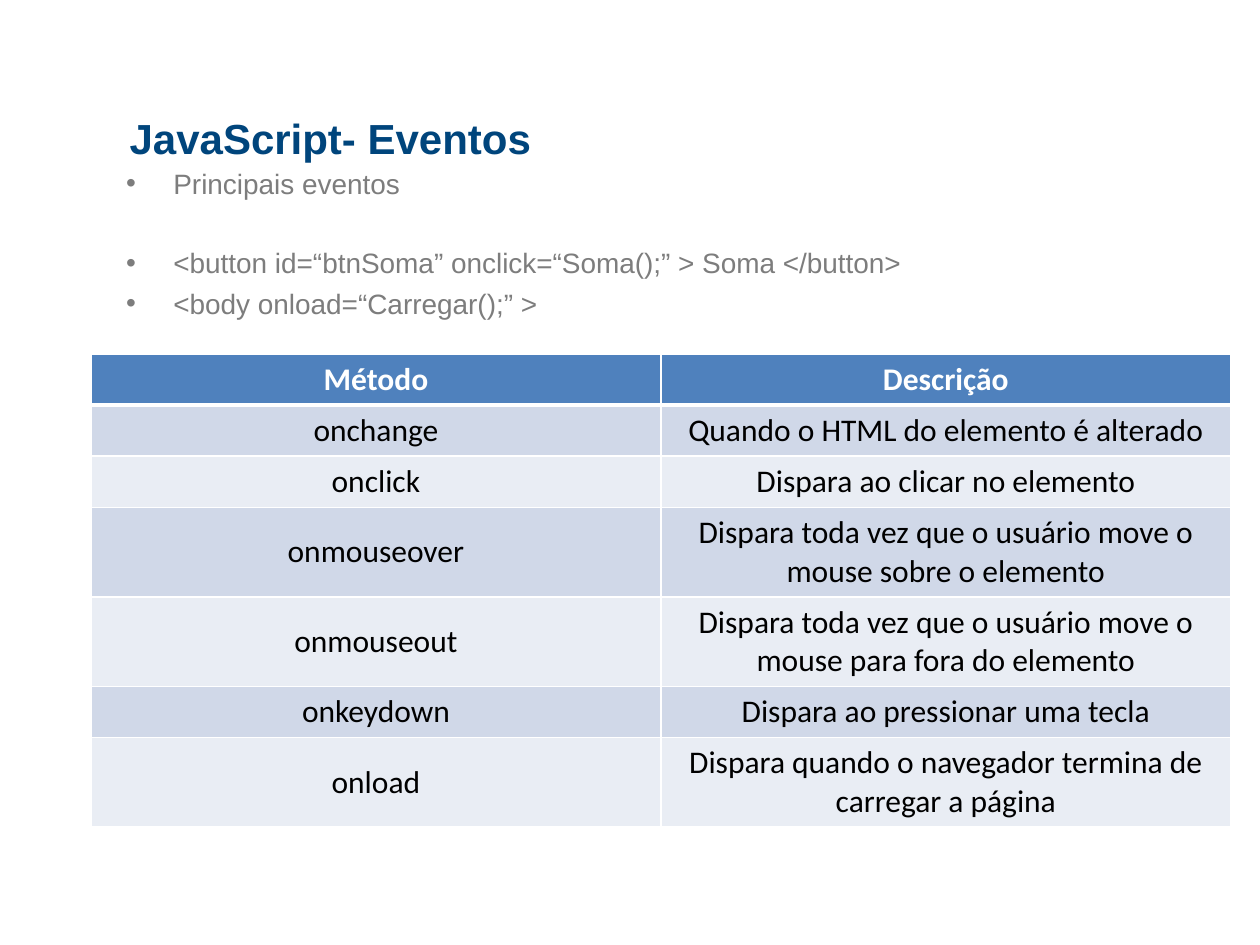
from lxml import etree
from pptx import Presentation
from pptx import util as u
from pptx.dml import color
from pptx.enum import text
from pptx.oxml import ns

Pt = u.Pt
NAVY = color.RGBColor(0x00, 0x45, 0x7C)
GRAY = color.RGBColor(0x7D, 0x7D, 0x7D)
BLUE = color.RGBColor(0x4F, 0x81, 0xBD)
BAND_DARK = color.RGBColor(0xD0, 0xD8, 0xE8)
BAND_LIGHT = color.RGBColor(0xE9, 0xED, 0xF4)
WHITE = color.RGBColor(0xFF, 0xFF, 0xFF)
BLACK = color.RGBColor(0, 0, 0)

TITLE_FONT = {"name": "Arial", "size": Pt(24), "bold": True}
BULLET_FONT = {"name": "Arial", "size": Pt(16), "bold": False}
HEADER_FONT = {"name": "Calibri", "size": Pt(18), "bold": True}
CELL_FONT = {**HEADER_FONT, "bold": False}

EXAMPLES = [
    ("Principais eventos", 0),
    ("<button id=“btnSoma” onclick=“Soma();” > Soma </button>", 26.2),
    ("<body onload=“Carregar();” >", 3.9),
]
EVENTS = [
    ("Método", "Descrição", 29.2),
    ("onchange", "Quando o HTML do elemento é alterado", 29.2),
    ("onclick", "Dispara ao clicar no elemento", 29.2),
    ("onmouseover", "Dispara toda vez que o usuário move o mouse sobre o elemento", 51.2),
    ("onmouseout", "Dispara toda vez que o usuário move o mouse para fora do elemento", 51.2),
    ("onkeydown", "Dispara ao pressionar uma tecla", 29.2),
    ("onload", "Dispara quando o navegador termina de carregar a página", 51.2),
]


def write(paragraph, words, font, ink):
    run = paragraph.add_run()
    run.text = words
    for key, value in font.items():
        setattr(run.font, key, value)
    run.font.color.rgb = ink


def add_frame(slide, box):
    frame = slide.shapes.add_textbox(*map(Pt, box)).text_frame
    for key, value in {"word_wrap": True, "vertical_anchor": text.MSO_ANCHOR.TOP}.items():
        setattr(frame, key, value)
    return frame


def add_title(slide, box):
    write(add_frame(slide, box).paragraphs[0], "JavaScript- Eventos", TITLE_FONT, NAVY)


def add_examples(slide, box):
    frame = add_frame(slide, box)
    for index, (words, gap) in enumerate(EXAMPLES):
        example = frame.add_paragraph() if index else frame.paragraphs[0]
        example.space_before = Pt(gap)
        indents = example._p.get_or_add_pPr()
        indents.set("marL", str(Pt(27)))
        indents.set("indent", str(Pt(-27)))
        etree.SubElement(indents, ns.qn("a:buFont"), typeface="Arial")
        etree.SubElement(indents, ns.qn("a:buChar"), char="•")
        write(example, words, BULLET_FONT, GRAY)


def add_borders(cell, row):
    properties = cell._tc.get_or_add_tcPr()
    for place, edge in enumerate(("lnL", "lnR", "lnT", "lnB")):
        width = 3 if (row, edge) in ((0, "lnB"), (1, "lnT")) else 1
        border = etree.Element(ns.qn(f"a:{edge}"), w=str(Pt(width)))
        fill = etree.SubElement(border, ns.qn("a:solidFill"))
        etree.SubElement(fill, ns.qn("a:srgbClr"), val=str(WHITE))
        properties.insert(place, border)


def add_events(slide, box):
    events = slide.shapes.add_table(len(EVENTS), 2, *map(Pt, box)).table
    for row, (method, description, height) in enumerate(EVENTS):
        events.rows[row].height = Pt(height)
        if row == 0:
            font, ink, band, anchor = HEADER_FONT, WHITE, BLUE, text.MSO_ANCHOR.TOP
        else:
            font, ink, anchor = CELL_FONT, BLACK, text.MSO_ANCHOR.MIDDLE
            band = BAND_DARK if row % 2 else BAND_LIGHT
        for column, words in enumerate((method, description)):
            cell = events.cell(row, column)
            cell.vertical_anchor = anchor
            cell.fill.solid()
            cell.fill.fore_color.rgb = band
            add_borders(cell, row)
            label = cell.text_frame.paragraphs[0]
            label.alignment = text.PP_ALIGN.CENTER
            write(label, words, font, ink)


def main():
    deck = Presentation()
    deck.slide_width, deck.slide_height = Pt(720), Pt(540)
    slide = deck.slides.add_slide(deck.slide_layouts[6])
    add_examples(slide, (65, 91.5, 648, 396.5))
    add_title(slide, (67, 60.5, 620.5, 62.5))
    add_events(slide, (52, 202.3, 651.4, 270.4))
    deck.save("out.pptx")


if __name__ == "__main__":
    main()
